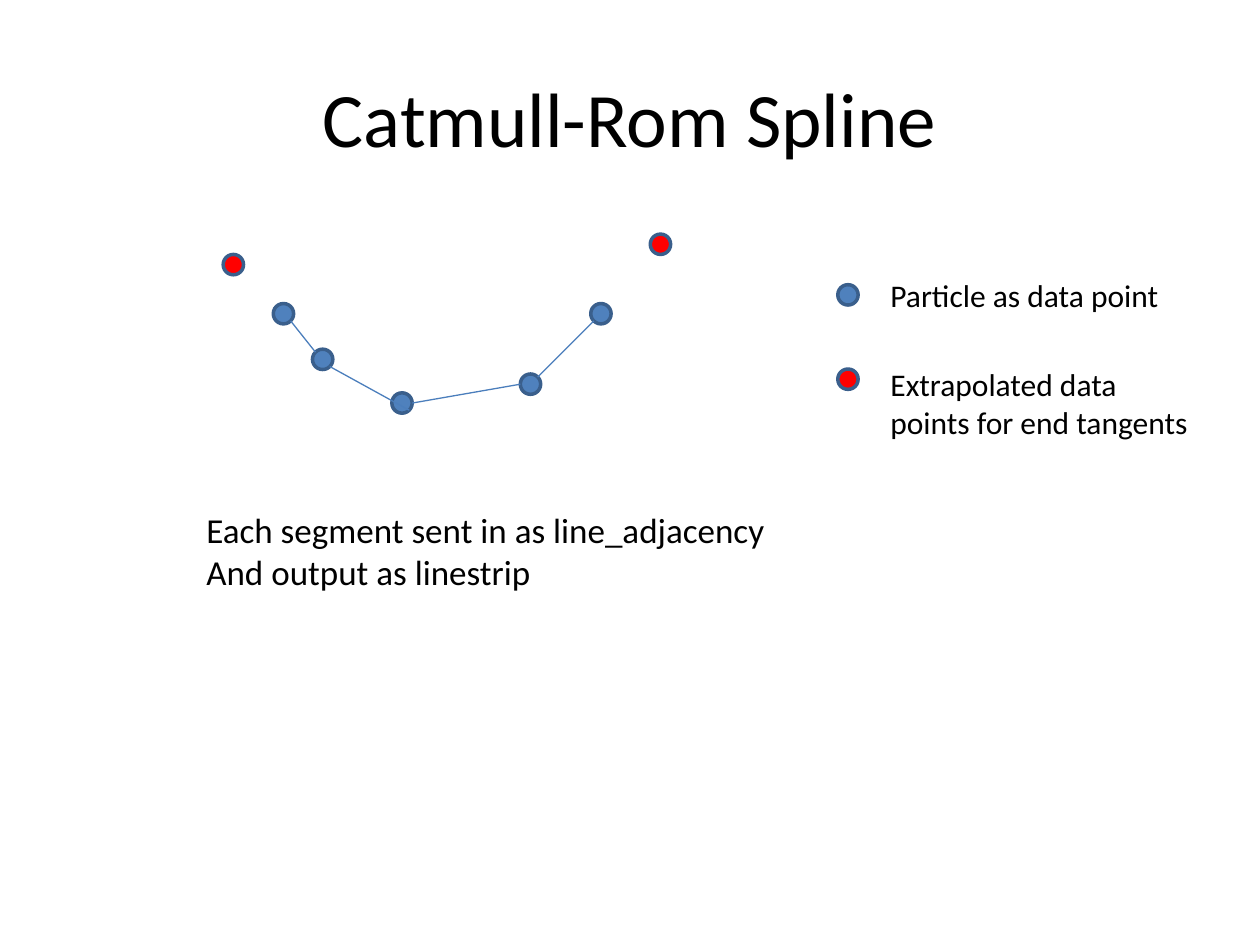
"""Build the Catmull-Rom spline slide."""
from dataclasses import dataclass
from enum import Enum
from math import sqrt

from pptx import Presentation
from pptx.dml.color import RGBColor
from pptx.enum import shapes, text
from pptx.oxml import ns, xmlchemy
from pptx.util import Cm, Pt


@dataclass(frozen=True)
class Theme:
    font: str = "Calibri"
    ink: RGBColor = RGBColor(0x00, 0x00, 0x00)
    particle: RGBColor = RGBColor(0x4F, 0x81, 0xBD)
    extrapolated: RGBColor = RGBColor(0xFF, 0x00, 0x00)
    outline: RGBColor = RGBColor(0x3A, 0x5F, 0x8C)
    segment: RGBColor = RGBColor(0x4B, 0x7E, 0xBC)
    title_size: float = 44
    body_size: float = 20
    legend_size: float = 18
    outline_width: float = 2
    segment_width: float = 0.75


THEME = Theme()
DIAMETER = 0.41
DIAGONAL = 1 / sqrt(2)


class Site(Enum):
    TOP_LEFT = (-DIAGONAL, -DIAGONAL)
    LEFT = (-1, 0)
    BOTTOM_LEFT = (-DIAGONAL, DIAGONAL)
    BOTTOM_RIGHT = (DIAGONAL, DIAGONAL)
    RIGHT = (1, 0)
    TOP_RIGHT = (DIAGONAL, -DIAGONAL)


@dataclass(frozen=True)
class Dot:
    left: float
    top: float
    color: RGBColor = THEME.particle

    def at(self, site: Site) -> tuple:
        radius = DIAMETER / 2
        across, down = site.value
        return (Cm(self.left + radius * (1 + across)),
                Cm(self.top + radius * (1 + down)))


@dataclass(frozen=True)
class Segment:
    start: Dot
    start_site: Site
    end: Dot
    end_site: Site


@dataclass(frozen=True)
class Label:
    left: float
    top: float
    width: float
    height: float
    lines: tuple
    size: float
    wrap: bool = False


PARTICLES = (Dot(5.51, 6.12), Dot(6.3, 7.04), Dot(7.9, 7.92),
             Dot(10.49, 7.54), Dot(11.91, 6.12))
END_POINTS = (Dot(4.5, 5.13, THEME.extrapolated),
              Dot(13.11, 4.72, THEME.extrapolated))
SITES = ((Site.BOTTOM_RIGHT, Site.TOP_LEFT),
         (Site.BOTTOM_RIGHT, Site.BOTTOM_RIGHT),
         (Site.RIGHT, Site.LEFT),
         (Site.TOP_RIGHT, Site.BOTTOM_LEFT))
SEGMENTS = tuple(Segment(start, sites[0], end, sites[1])
                 for start, end, sites in zip(PARTICLES, PARTICLES[1:], SITES))
CAPTION = Label(3.91, 10.13, 11.89, 1.96,
                ("Each segment sent in as line_adjacency",
                 "And output as linestrip"), THEME.body_size)
LEGEND = (
    (Dot(16.89, 5.74),
     Label(17.7, 5.44, 5.97, 1.02, ("Particle as data point",),
           THEME.legend_size)),
    (Dot(16.89, 7.44, THEME.extrapolated),
     Label(17.7, 7.24, 6.6, 1.8, ("Extrapolated data points for end tangents",),
           THEME.legend_size, wrap=True)),
)


def add_run(paragraph, words: str, size: float) -> None:
    """Append one run in the theme font."""
    run = paragraph.add_run()
    run.text = words
    run.font.name = THEME.font
    run.font.size = Pt(size)
    run.font.color.rgb = THEME.ink


def draw_title(slide, words: str) -> None:
    """Place and fill the title placeholder."""
    title = slide.shapes.title
    title.left, title.top = Cm(1.27), Cm(0.76)
    title.width, title.height = Cm(22.86), Cm(3.18)
    title.text_frame.vertical_anchor = text.MSO_ANCHOR.MIDDLE
    paragraph = title.text_frame.paragraphs[0]
    paragraph.alignment = text.PP_ALIGN.CENTER
    add_run(paragraph, words, THEME.title_size)


def draw_dot(slide, dot: Dot) -> None:
    """Draw one data point."""
    shape = slide.shapes.add_shape(
        shapes.MSO_SHAPE.OVAL, Cm(dot.left), Cm(dot.top),
        Cm(DIAMETER), Cm(DIAMETER))
    shape.shadow.inherit = False
    shape.fill.solid()
    shape.fill.fore_color.rgb = dot.color
    shape.line.color.rgb = THEME.outline
    shape.line.width = Pt(THEME.outline_width)


def draw_segment(slide, segment: Segment) -> None:
    """Draw one line between the edges of two points."""
    connector = slide.shapes.add_connector(
        shapes.MSO_CONNECTOR.STRAIGHT,
        *segment.start.at(segment.start_site),
        *segment.end.at(segment.end_site))
    connector.line.color.rgb = THEME.segment
    connector.line.width = Pt(THEME.segment_width)
    properties = connector._element.spPr
    properties.append(xmlchemy.OxmlElement("a:effectLst"))


def draw_label(slide, label: Label) -> None:
    """Draw a text box with one paragraph per line."""
    box = slide.shapes.add_textbox(Cm(label.left), Cm(label.top),
                                   Cm(label.width), Cm(label.height))
    frame = box.text_frame
    frame.word_wrap = label.wrap
    frame.auto_size = text.MSO_AUTO_SIZE.SHAPE_TO_FIT_TEXT
    for index, line in enumerate(label.lines):
        paragraph = frame.add_paragraph() if index else frame.paragraphs[0]
        add_run(paragraph, line, label.size)


def main() -> None:
    """Assemble and save the slide."""
    presentation = Presentation()
    presentation.slide_width, presentation.slide_height = Cm(25.4), Cm(19.05)
    title_only = presentation.slide_layouts.get_by_name("Title Only")
    slide = presentation.slides.add_slide(title_only)
    draw_title(slide, "Catmull-Rom Spline")
    for dot in PARTICLES + END_POINTS:
        draw_dot(slide, dot)
    draw_label(slide, CAPTION)
    for segment in SEGMENTS:
        draw_segment(slide, segment)
    for dot, label in LEGEND:
        draw_dot(slide, dot)
        draw_label(slide, label)
    presentation.save("out.pptx")


if __name__ == "__main__":
    main()
